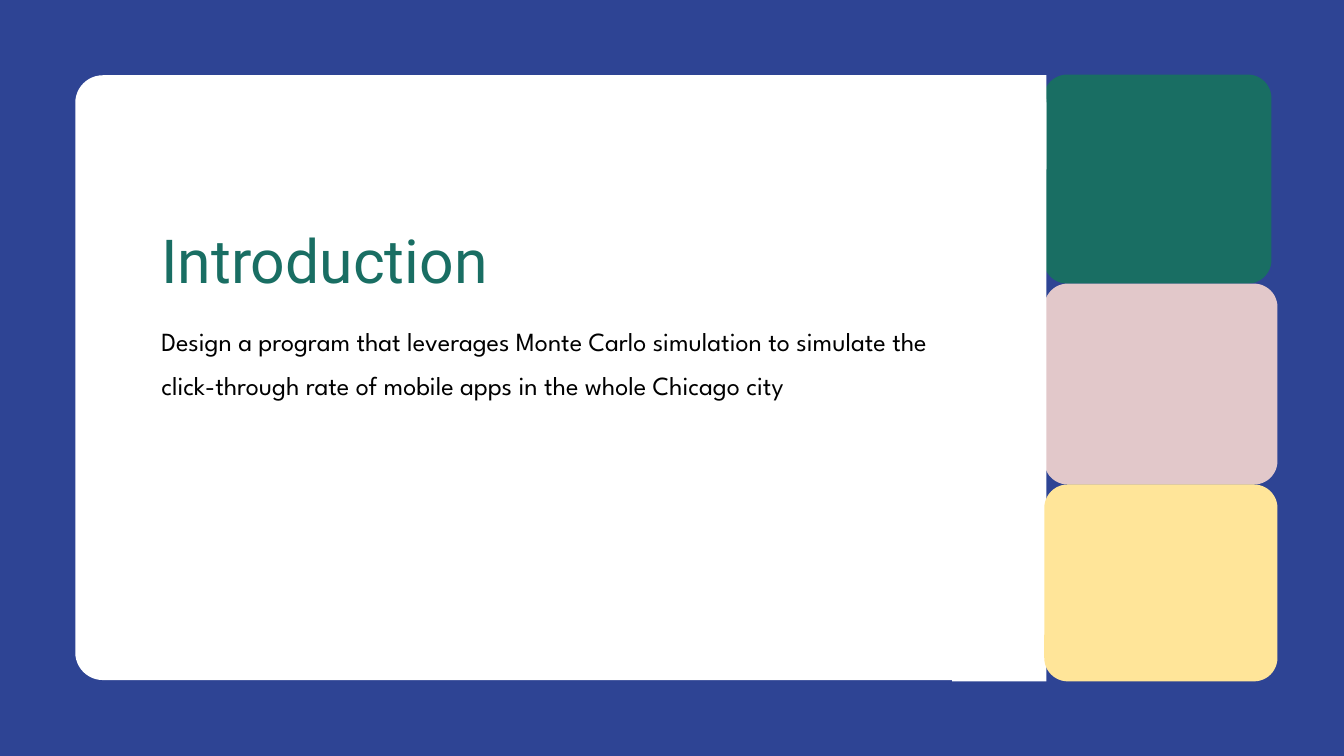
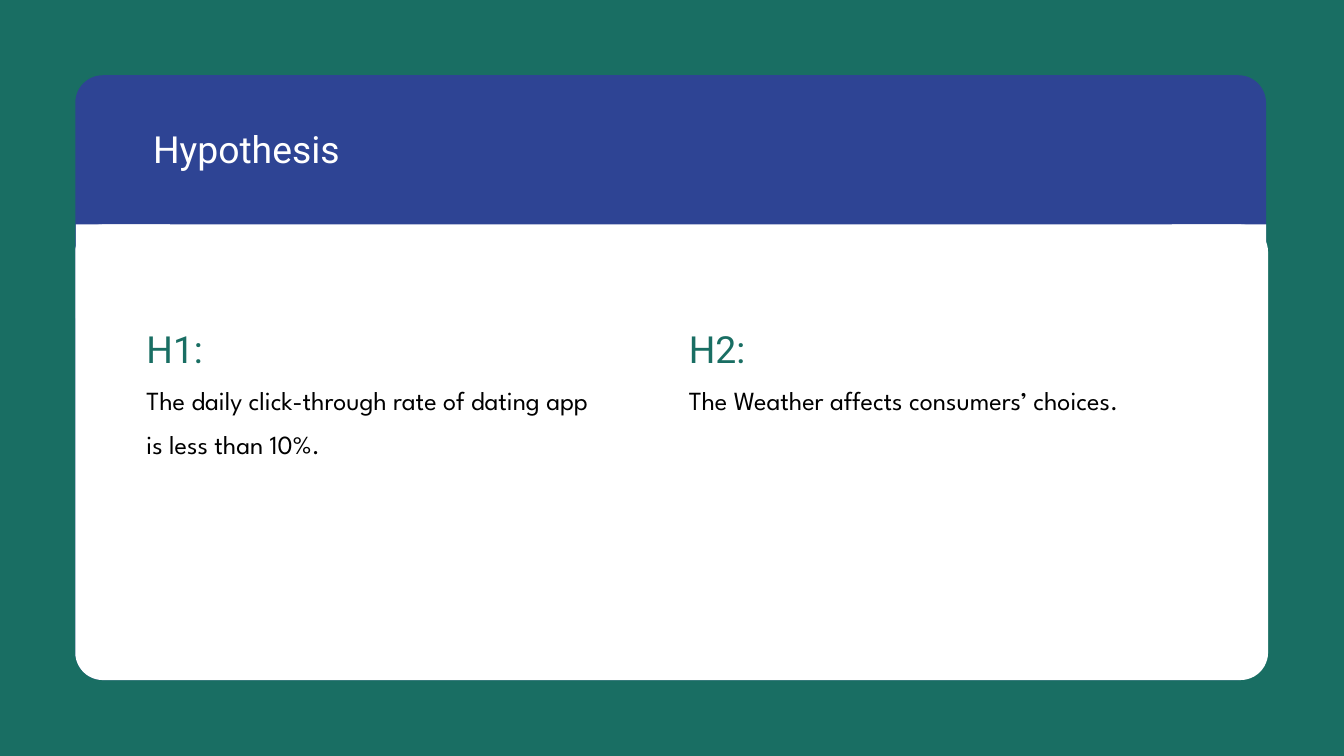
import pptx
import pptx.util
import pptx.dml.color
import pptx.enum.shapes
import pptx.enum.text

EMU_PER_PX = 9144
CARD_RADIUS = 41
TILE_RADIUS = 35
COLORS = {
    "blue": "2E4494",
    "green": "196E63",
    "pink": "E2C8CA",
    "yellow": "FFE599",
    "white": "FFFFFF",
    "black": "000000",
}
STYLES = {
    "title": ("Roboto", 65, "green", 1.15, 0),
    "heading": ("Roboto", 40, "green", 1.15, 0),
    "body": ("League Spartan", 28, "black", 1.4, 0),
    "band": ("Roboto", 40, "white", 1.0, 10),
}


def add_block(slide, box, color, radius=0):
    shapes = pptx.enum.shapes.MSO_SHAPE
    kind = shapes.ROUNDED_RECTANGLE if radius else shapes.RECTANGLE
    shape = slide.shapes.add_shape(kind, *[value * EMU_PER_PX for value in box])
    if radius:
        shape.adjustments[0] = radius / min(box[2:])
    shape.shadow.inherit = False
    shape.fill.solid()
    shape.fill.fore_color.rgb = pptx.dml.color.RGBColor.from_string(COLORS[color])
    shape.line.fill.background()


def add_text(slide, box, text, style):
    font_name, size, color, line_spacing, inset = STYLES[style]
    shape = slide.shapes.add_textbox(*[value * EMU_PER_PX for value in box])
    frame = shape.text_frame
    frame.word_wrap = True
    frame.auto_size = pptx.enum.text.MSO_AUTO_SIZE.SHAPE_TO_FIT_TEXT
    frame.margin_left = frame.margin_right = inset * EMU_PER_PX
    frame.margin_top = frame.margin_bottom = inset * EMU_PER_PX
    paragraph = frame.paragraphs[0]
    paragraph.text = text
    paragraph.line_spacing = line_spacing
    paragraph.font.name = font_name
    paragraph.font.size = pptx.util.Pt(size)
    paragraph.font.color.rgb = pptx.dml.color.RGBColor.from_string(COLORS[color])


presentation = pptx.Presentation()
presentation.slide_width = 2000 * EMU_PER_PX
presentation.slide_height = 1125 * EMU_PER_PX

slides = []
for background in ("blue", "green"):
    slide = presentation.slides.add_slide(presentation.slide_layouts[6])
    fill = slide.background.fill
    fill.solid()
    fill.fore_color.rgb = pptx.dml.color.RGBColor.from_string(COLORS[background])
    slides.append(slide)
introduction, hypothesis = slides

add_block(introduction, (1553, 111, 339, 311), "green", TILE_RADIUS)
add_block(introduction, (1554, 422, 347, 299), "pink", TILE_RADIUS)
add_block(introduction, (112, 112, 1445, 900), "white", CARD_RADIUS)
for corner_top in (112, 874):
    add_block(introduction, (1417, corner_top, 140, 140), "white")
add_text(introduction, (240, 316, 1190, 109), "Introduction", "title")
add_text(
    introduction,
    (240, 466, 1190, 113),
    "Design a program that leverages Monte Carlo simulation to simulate the "
    "click-through rate of mobile apps in the whole Chicago city",
    "body",
)
add_block(introduction, (1554, 721, 347, 293), "yellow", TILE_RADIUS)

add_block(hypothesis, (112, 112, 1772, 900), "blue", CARD_RADIUS)
add_block(hypothesis, (112, 334, 1775, 678), "white", CARD_RADIUS)
for corner_left in (113, 1744):
    add_block(hypothesis, (corner_left, 334, 140, 140), "white")
for left, width, heading, statement in (
    (218, 664, "H1:", "The daily click-through rate of dating app is less than 10%."),
    (1025, 680, "H2:", "The Weather affects consumers’ choices."),
):
    add_text(hypothesis, (left, 475, width, 67), heading, "heading")
    add_text(hypothesis, (left, 553, width, 113), statement, "body")
add_text(hypothesis, (218, 178, 1670, 88), "Hypothesis", "band")

presentation.save("out.pptx")
